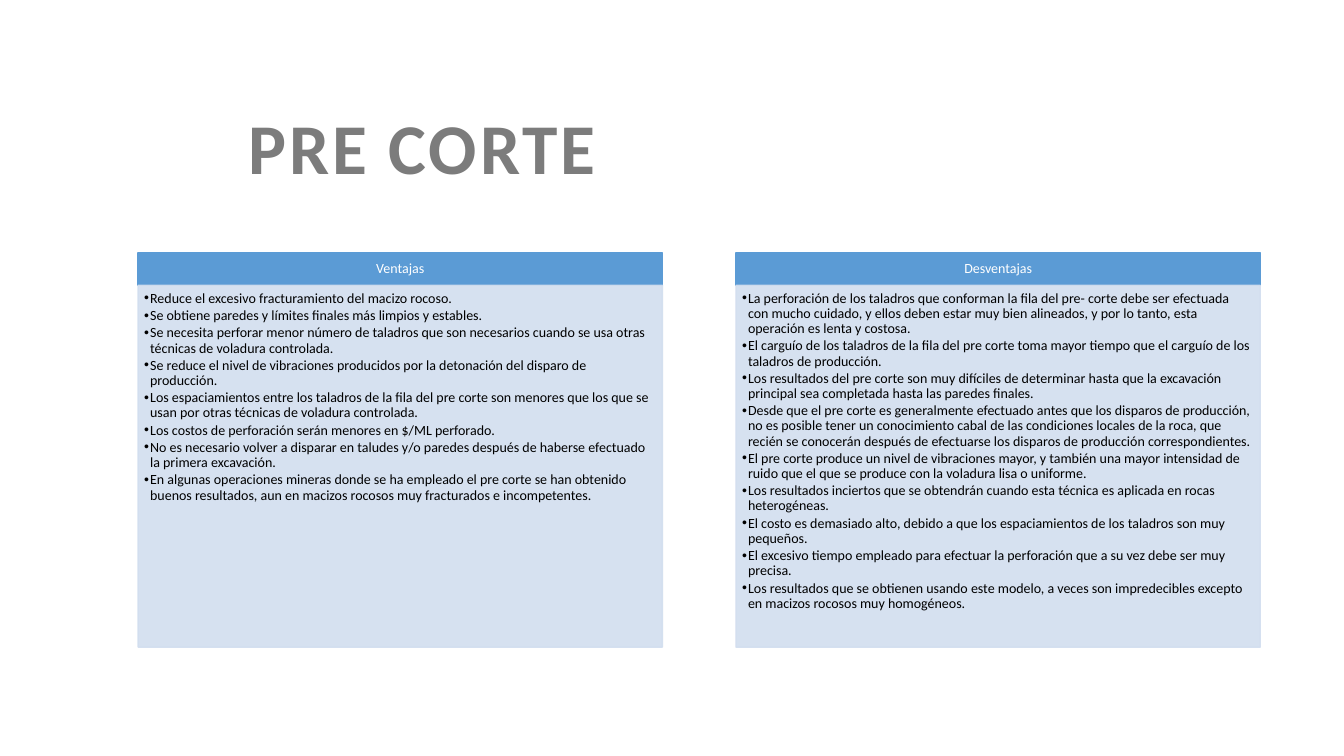
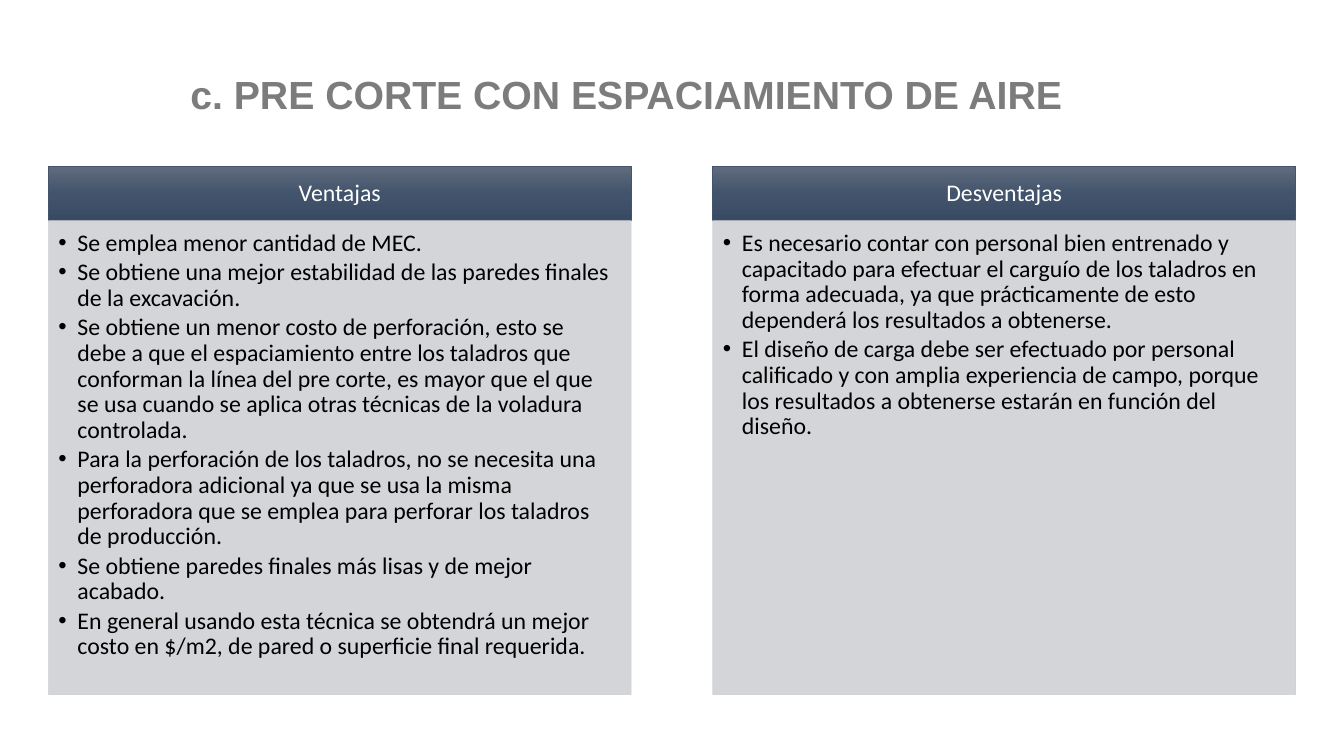
import copy

import lxml.etree
import pptx
import pptx.dml.color
import pptx.enum.shapes
import pptx.enum.text
import pptx.oxml.ns
import pptx.util

qn = pptx.oxml.ns.qn
ALIGN = pptx.enum.text.PP_ALIGN
ANCHOR = pptx.enum.text.MSO_ANCHOR
EMU_PER_PX = 9144


def px(n):
    return pptx.util.Emu(n * EMU_PER_PX)


def rgb(value):
    return pptx.dml.color.RGBColor.from_string(value)


class Deck:
    font = "Calibri"
    title_color = "7C7C7C"
    header_text = "FFFFFF"
    body_text = "000000"
    title_indent = 100
    line_spacing = 0.9
    space_after = 0.15
    alpha = 90

    def __init__(self, width, height):
        self.prs = pptx.Presentation()
        self.prs.slide_width = px(width)
        self.prs.slide_height = px(height)
        self.s = None

    def slide(self):
        self.s = self.prs.slides.add_slide(self.prs.slide_layouts[6])

    def format(self, p, size, color, font=None, bold=False):
        for r in p.runs:
            r.font.name = font or self.font
            r.font.size = pptx.util.Pt(size)
            r.font.bold = bold
            r.font.color.rgb = rgb(color)

    def frame(self, tf, insets, anchor):
        tf.word_wrap = True
        tf.vertical_anchor = anchor
        tf.margin_left, tf.margin_top, tf.margin_right, tf.margin_bottom = map(px, insets)

    def title(self, text, box, size, font=None, spacing=0, anchor=ANCHOR.TOP, leading=1.0):
        tf = self.s.shapes.add_textbox(*map(px, box)).text_frame
        self.frame(tf, (10, 5, 10, 5), anchor)
        p = tf.paragraphs[0]
        p.text = text
        p.line_spacing = leading
        p._p.get_or_add_pPr().set("marL", str(px(self.title_indent)))
        self.format(p, size, self.title_color, font, True)
        if spacing:
            p.runs[0].font._element.set("spc", str(spacing * 100))

    def rect(self, box, color, line_width):
        sp = self.s.shapes.add_shape(pptx.enum.shapes.MSO_SHAPE.RECTANGLE, *map(px, box))
        sp.shadow.inherit = False
        sp.fill.solid()
        sp.fill.fore_color.rgb = rgb(color)
        sp.line.color.rgb = rgb(color)
        sp.line.width = pptx.util.Pt(line_width)
        return sp

    def gradient(self, sp, colors):
        sp.fill.gradient()
        sp.fill.gradient_angle = 270
        stops = sp._element.spPr.find(qn("a:gradFill")).find(qn("a:gsLst"))
        while len(stops) < len(colors):
            stops.append(copy.deepcopy(stops[0]))
        for i, (stop, color) in enumerate(zip(sp.fill.gradient_stops, colors)):
            stop.position = i / (len(colors) - 1)
            stop.color.rgb = rgb(color)

    def translucent(self, sp):
        for color in sp._element.spPr.iter(qn("a:srgbClr")):
            alpha = lxml.etree.SubElement(color, qn("a:alpha"))
            alpha.set("val", str(self.alpha * 1000))

    def header(self, text, box, look):
        sp = self.rect(box, look["header"], look["line"])
        if "gradient" in look:
            self.gradient(sp, look["gradient"])
        tf = sp.text_frame
        self.frame(tf, look["header_insets"], ANCHOR.MIDDLE)
        p = tf.paragraphs[0]
        p.text = text
        p.alignment = ALIGN.CENTER
        p.line_spacing = self.line_spacing
        self.format(p, look["size"], self.header_text)

    def bullets(self, items, box, look):
        sp = self.rect(box, look["body"], look["line"])
        self.translucent(sp)
        tf = sp.text_frame
        self.frame(tf, look["body_insets"], ANCHOR.TOP)
        for i, item in enumerate(items):
            p = tf.add_paragraph() if i else tf.paragraphs[0]
            p.text = item
            p.alignment = ALIGN.LEFT
            p.line_spacing = self.line_spacing
            p.space_after = pptx.util.Pt(look["size"] * self.space_after)
            pPr = p._p.get_or_add_pPr()
            pPr.set("marL", str(px(look["indent"])))
            pPr.set("indent", str(-px(look["indent"])))
            lxml.etree.SubElement(pPr, qn("a:buFont")).set("typeface", "Arial")
            lxml.etree.SubElement(pPr, qn("a:buChar")).set("char", "•")
            self.format(p, look["size"], self.body_text)

    def columns(self, lists, look):
        left, top, width, pitch = look["grid"]
        header_height, body_height = look["heights"]
        for i, (heading, items) in enumerate(lists.items()):
            x = left + i * pitch
            self.header(heading, (x, top, width, header_height), look)
            self.bullets(items, (x, top + header_height, width, body_height), look)


BLUE = {
    "grid": (137, 251, 520, 593),
    "heights": (32, 359),
    "header": "5B9BD5",
    "body": "D2DEEF",
    "line": 1,
    "size": 10,
    "indent": 6,
    "header_insets": (8, 4, 8, 4),
    "body_insets": (6, 6, 8, 9),
}

SLATE = {
    "grid": (48, 165, 578, 659),
    "heights": (54, 470),
    "header": "44546A",
    "gradient": ("606B7D", "42546C", "394A62"),
    "body": "CFD1D4",
    "line": 0.5,
    "size": 17,
    "indent": 19,
    "header_insets": (13, 8, 13, 8),
    "body_insets": (10, 10, 13, 15),
}

PRE_CORTE = {
    "Ventajas": [
        "Reduce el excesivo fracturamiento del macizo rocoso.",
        "Se obtiene paredes y límites finales más limpios y estables.",
        "Se necesita perforar menor número de taladros que son necesarios cuando se usa otras "
        "técnicas de voladura controlada.",
        "Se reduce el nivel de vibraciones producidos por la detonación del disparo de producción.",
        "Los espaciamientos entre los taladros de la fila del pre corte son menores que los que se "
        "usan por otras técnicas de voladura controlada.",
        "Los costos de perforación serán menores en $/ML perforado.",
        "No es necesario volver a disparar en taludes y/o paredes después de haberse efectuado "
        "la primera excavación.",
        "En algunas operaciones mineras donde se ha empleado el pre corte se han obtenido "
        "buenos resultados, aun en macizos rocosos muy fracturados e incompetentes.",
    ],
    "Desventajas": [
        "La perforación de los taladros que conforman la fila del pre- corte debe ser efectuada "
        "con mucho cuidado, y ellos deben estar muy bien alineados, y por lo tanto, esta "
        "operación es lenta y costosa.",
        "El carguío de los taladros de la fila del pre corte toma mayor tiempo que el carguío de "
        "los taladros de producción.",
        "Los resultados del pre corte son muy difíciles de determinar hasta que la excavación "
        "principal sea completada hasta las paredes finales.",
        "Desde que el pre corte es generalmente efectuado antes que los disparos de producción, "
        "no es posible tener un conocimiento cabal de las condiciones locales de la roca, que "
        "recién se conocerán después de efectuarse los disparos de producción correspondientes.",
        "El pre corte produce un nivel de vibraciones mayor, y también una mayor intensidad de "
        "ruido que el que se produce con la voladura lisa o uniforme.",
        "Los resultados inciertos que se obtendrán cuando esta técnica es aplicada en rocas "
        "heterogéneas.",
        "El costo es demasiado alto, debido a que los espaciamientos de los taladros son muy "
        "pequeños.",
        "El excesivo tiempo empleado para efectuar la perforación que a su vez debe ser muy "
        "precisa.",
        "Los resultados que se obtienen usando este modelo, a veces son impredecibles excepto "
        "en macizos rocosos muy homogéneos.",
    ],
}

ESPACIAMIENTO_DE_AIRE = {
    "Ventajas": [
        "Se emplea menor cantidad de MEC.",
        "Se obtiene una mejor estabilidad de las paredes finales de la excavación.",
        "Se obtiene un menor costo de perforación, esto se debe a que el espaciamiento entre los "
        "taladros que conforman la línea del pre corte, es mayor que el que se usa cuando se "
        "aplica otras técnicas de la voladura controlada.",
        "Para la perforación de los taladros, no se necesita una perforadora adicional ya que se "
        "usa la misma perforadora que se emplea para perforar los taladros de producción.",
        "Se obtiene paredes finales más lisas y de mejor acabado.",
        "En general usando esta técnica se obtendrá un mejor costo en $/m2, de pared o "
        "superficie final requerida.",
    ],
    "Desventajas": [
        "Es necesario contar con personal bien entrenado y capacitado para efectuar el carguío "
        "de los taladros en forma adecuada, ya que prácticamente de esto dependerá los "
        "resultados a obtenerse.",
        "El diseño de carga debe ser efectuado por personal calificado y con amplia experiencia "
        "de campo, porque los resultados a obtenerse estarán en función del diseño.",
    ],
}


def main():
    deck = Deck(1333, 750)

    deck.slide()
    deck.title("PRE CORTE", (137, 107, 1113, 98), 51, spacing=2, leading=0.9)
    deck.columns(PRE_CORTE, BLUE)

    deck.slide()
    deck.columns(ESPACIAMIENTO_DE_AIRE, SLATE)
    deck.title("c. PRE CORTE CON ESPACIAMIENTO DE AIRE", (79, 59, 1176, 62), 28,
               font="Arial", anchor=ANCHOR.BOTTOM)

    deck.prs.save("out.pptx")


if __name__ == "__main__":
    main()
